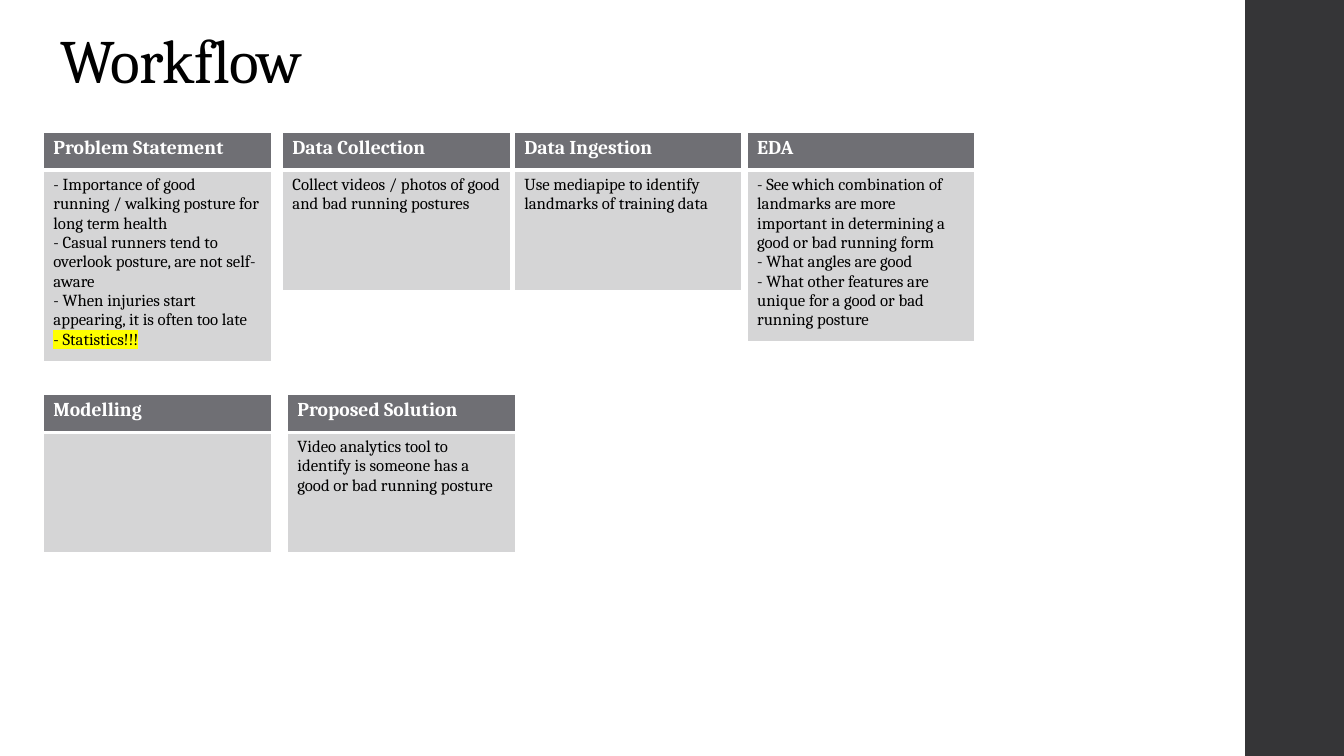
from lxml import etree
from pptx import Presentation
from pptx import util as u
from pptx.dml.color import RGBColor
from pptx.enum import shapes, text
from pptx.oxml import ns

WHITE = RGBColor(0xFF, 0xFF, 0xFF)
BLACK = RGBColor(0, 0, 0)
YELLOW = RGBColor(0xFF, 0xFF, 0)
CHARCOAL = RGBColor(0x35, 0x35, 0x37)
HEADER = RGBColor(0x6F, 0x6F, 0x74)
BODY = RGBColor(0xD5, 0xD5, 0xD6)

TOP, LOWER = 1.31, 3.91
STAGES = [
    (2.8, TOP, "Data Collection",
     ["Collect videos / photos of good and bad running postures"]),
    (0.43, TOP, "Problem Statement",
     ["- Importance of good running / walking posture for long term health",
      "- Casual runners tend to overlook posture, are not self-aware",
      "- When injuries start appearing, it is often too late",
      "- Statistics!!!"]),
    (2.85, LOWER, "Proposed Solution",
     ["Video analytics tool to identify is someone has a good or bad running posture"]),
    (7.41, TOP, "EDA",
     ["- See which combination of landmarks are more important in determining "
      "a good or bad running form",
      "- What angles are good",
      "- What other features are unique for a good or bad running posture"]),
    (5.1, TOP, "Data Ingestion",
     ["Use mediapipe to identify landmarks of training data"]),
    (0.43, LOWER, "Modelling", []),
]
HIGHLIGHTED = "- Statistics!!!"


def add_text(p, content, size=12, color=BLACK, bold=False, highlight=None, spacing=None):
    """Add one formatted run to a paragraph."""
    r = p.add_run()
    r.text = content
    r.font.size = u.Pt(size)
    r.font.bold = bold
    r.font.color.rgb = color
    r.font.name = "Cambria"
    rPr = r.font._element
    if highlight is not None:
        mark = etree.Element(ns.qn("a:highlight"))
        etree.SubElement(mark, ns.qn("a:srgbClr"), val=str(highlight))
        rPr.find(ns.qn("a:solidFill")).addnext(mark)
    if spacing is not None:
        rPr.set("spc", str(int(spacing * 100)))


class WorkflowSlide:
    """Draw the workflow elements on one slide in a shared style."""

    def __init__(self, s):
        self.s = s
        self.width = 2.26
        self.rows = (0.38, 1.19)

    def bar(self, x, y, w, h):
        """Add a plain vertical bar."""
        sp = self.s.shapes.add_shape(shapes.MSO_SHAPE.RECTANGLE, u.Inches(x), u.Inches(y),
                                     u.Inches(w), u.Inches(h))
        sp.shadow.inherit = False
        sp.fill.solid()
        sp.fill.fore_color.rgb = CHARCOAL
        sp.line.fill.background()

    def title(self, content, x, y, w, h):
        """Add the slide title."""
        sp = self.s.shapes.add_textbox(u.Inches(x), u.Inches(y), u.Inches(w), u.Inches(h))
        tf = sp.text_frame
        tf.word_wrap = True
        tf.vertical_anchor = text.MSO_ANCHOR.BOTTOM
        p = tf.paragraphs[0]
        p.line_spacing = 0.9
        add_text(p, content, size=44, spacing=-0.5)

    def cell(self, cell, color, **widths):
        """Fill a cell and draw its white borders."""
        tcPr = cell._tc.get_or_add_tcPr()
        for side in "LRTB":
            ln = etree.SubElement(tcPr, ns.qn("a:ln" + side), w=str(u.Pt(widths.get(side, 1))))
            fill = etree.SubElement(ln, ns.qn("a:solidFill"))
            etree.SubElement(fill, ns.qn("a:srgbClr"), val=str(WHITE))
        cell.fill.solid()
        cell.fill.fore_color.rgb = color

    def stage(self, x, y, heading, lines):
        """Add a table with a heading above its notes."""
        table = self.s.shapes.add_table(2, 1, u.Inches(x), u.Inches(y), u.Inches(self.width),
                                        u.Inches(sum(self.rows))).table
        for row, height in zip(table.rows, self.rows):
            row.height = u.Inches(height)
        head, body = table.cell(0, 0), table.cell(1, 0)
        self.cell(head, HEADER, B=3)
        self.cell(body, BODY, T=3)
        add_text(head.text_frame.paragraphs[0], heading, size=14, color=WHITE, bold=True)
        tf = body.text_frame
        for i, line in enumerate(lines):
            p = tf.add_paragraph() if i else tf.paragraphs[0]
            add_text(p, line, highlight=YELLOW if line == HIGHLIGHTED else None)


def main():
    """Build and save the workflow slide."""
    prs = Presentation()
    prs.slide_width, prs.slide_height = u.Inches(13.33), u.Inches(7.5)
    slide = WorkflowSlide(prs.slides.add_slide(prs.slide_layouts[6]))
    slide.bar(12.35, 0, 0.98, 7.5)
    slide.title("Workflow", 0.5, 0.17, 10.6, 0.84)
    for stage in STAGES:
        slide.stage(*stage)
    prs.save("out.pptx")


if __name__ == "__main__":
    main()
